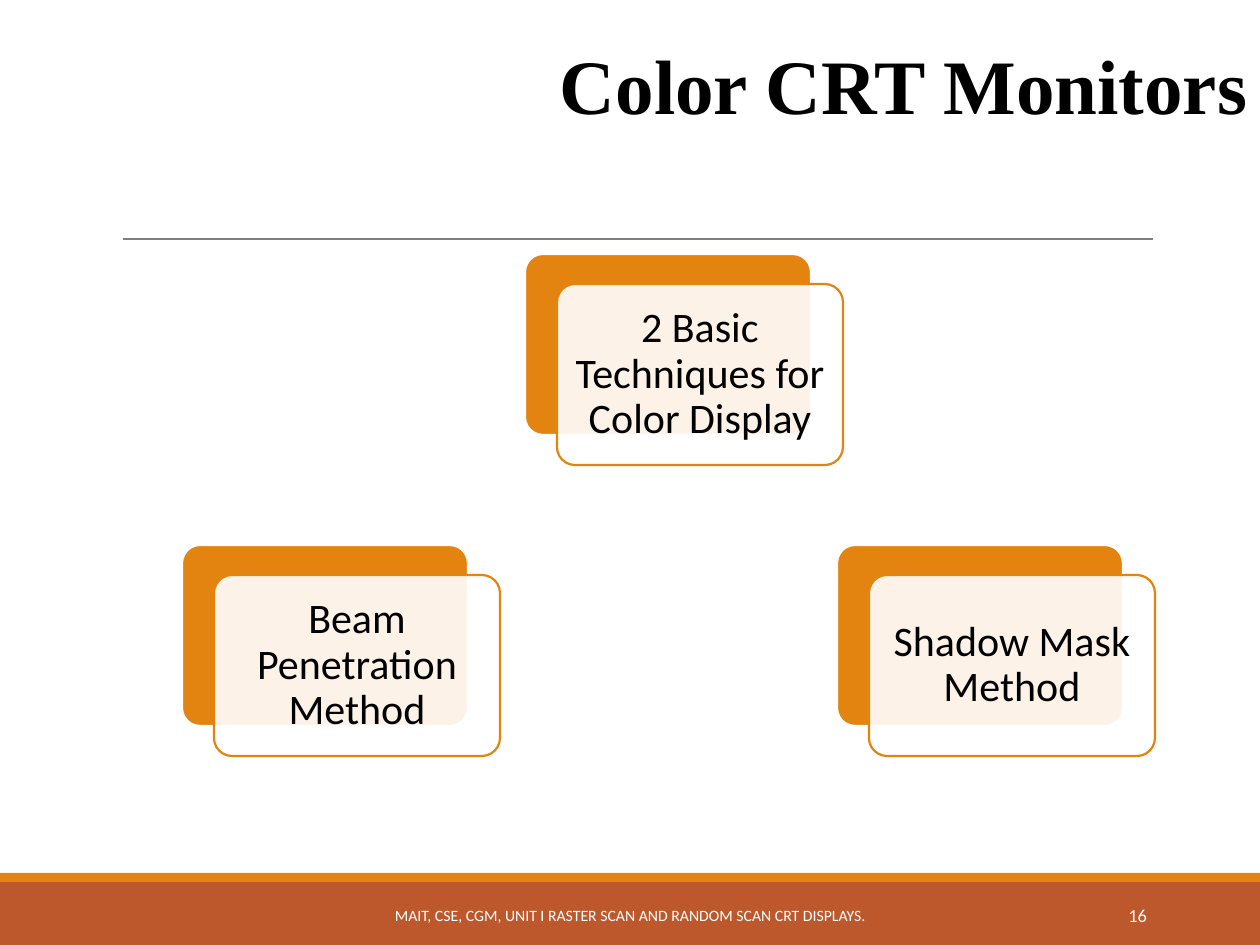
import pptx
import pptx.util
import pptx.dml.color
import pptx.enum.shapes
import pptx.enum.text
import pptx.oxml
import pptx.oxml.ns
import lxml.etree

SCALE = 914400 // 126
COLORS = {"rust": "BD582C", "orange": "E48312", "card": "E38310",
          "gray": "7F7F7F", "white": "FFFFFF", "black": "000000"}
KINDS = pptx.enum.shapes.MSO_SHAPE
ALIGN = pptx.enum.text.PP_ALIGN
ANCHOR = pptx.enum.text.MSO_ANCHOR
qn = pptx.oxml.ns.qn

deck = pptx.Presentation()
deck.slide_width = pptx.util.Inches(10)
deck.slide_height = pptx.util.Inches(7.5)
slide = deck.slides.add_slide(deck.slide_layouts[6])


def add_box(kind, box, fill, line=None):
    """Add a filled shape, with an outline if a line colour is given."""
    shape = slide.shapes.add_shape(kind, *[n * SCALE for n in box])
    shape.shadow.inherit = False
    shape.fill.solid()
    shape.fill.fore_color.rgb = pptx.dml.color.RGBColor.from_string(COLORS[fill])
    if line:
        shape.line.color.rgb = pptx.dml.color.RGBColor.from_string(COLORS[line])
        shape.line.width = pptx.util.Pt(1.25)
        shape.adjustments[0] = 0.1
    else:
        shape.line.fill.background()
    return shape


def add_text(text, box, size, font="Calibri", color="white", bold=False,
             align=ALIGN.CENTER, anchor=ANCHOR.MIDDLE, inset=6, space=1.0):
    """Add a wrapped text box with one formatted paragraph."""
    frame = slide.shapes.add_textbox(*[n * SCALE for n in box]).text_frame
    frame.word_wrap = True
    frame.vertical_anchor = anchor
    frame.margin_left = frame.margin_right = 12 * SCALE
    frame.margin_top = frame.margin_bottom = inset * SCALE
    para = frame.paragraphs[0]
    para.alignment = align
    para.line_spacing = space
    run = para.add_run()
    run.text = text
    run.font.name = font
    run.font.size = pptx.util.Pt(size)
    run.font.bold = bold
    run.font.color.rgb = pptx.dml.color.RGBColor.from_string(COLORS[color])


# Footer bands and title rule
add_box(KINDS.RECTANGLE, (0, 882, 1260, 63), "rust")
add_box(KINDS.RECTANGLE, (0, 873, 1260, 9), "orange")
rule = slide.shapes.add_connector(
    pptx.enum.shapes.MSO_CONNECTOR.STRAIGHT,
    *[n * SCALE for n in (123, 239, 1153, 239)])
rule.line.color.rgb = pptx.dml.color.RGBColor.from_string(COLORS["gray"])
rule.line.width = pptx.util.Pt(0.75)
lxml.etree.SubElement(rule.line._get_or_add_ln().getparent(), qn("a:effectLst"))

# Each card is a solid back and a sheer front, set down and to the right
cards = [("2 Basic Techniques for Color Display", 525, 254),
         ("Beam Penetration Method", 182, 545),
         ("Shadow Mask Method", 837, 545)]
for label, left, top in cards:
    add_box(KINDS.ROUNDED_RECTANGLE, (left, top, 286, 181), "card", "white")
    front = add_box(KINDS.ROUNDED_RECTANGLE, (left + 32, top + 30, 286, 181),
                    "white", "card")
    tint = front.fill._xPr.find(qn("a:solidFill"))[0]
    lxml.etree.SubElement(tint, qn("a:alpha"), val="90000")
    add_text(label, (left + 37, top + 35, 276, 171), 24, color="black",
             inset=12, space=0.9)

add_text("Color CRT Monitors", (504, 32, 756, 106), 44, font="Times New Roman",
         color="black", bold=True, align=ALIGN.RIGHT, anchor=ANCHOR.TOP)
add_text("16", (1023, 890, 136, 50), 10.5, align=ALIGN.RIGHT)
add_text("MAIT, CSE, CGM, UNIT I RASTER SCAN AND RANDOM SCAN CRT DISPLAYS.",
         (380, 890, 500, 50), 9)

deck.save("out.pptx")
